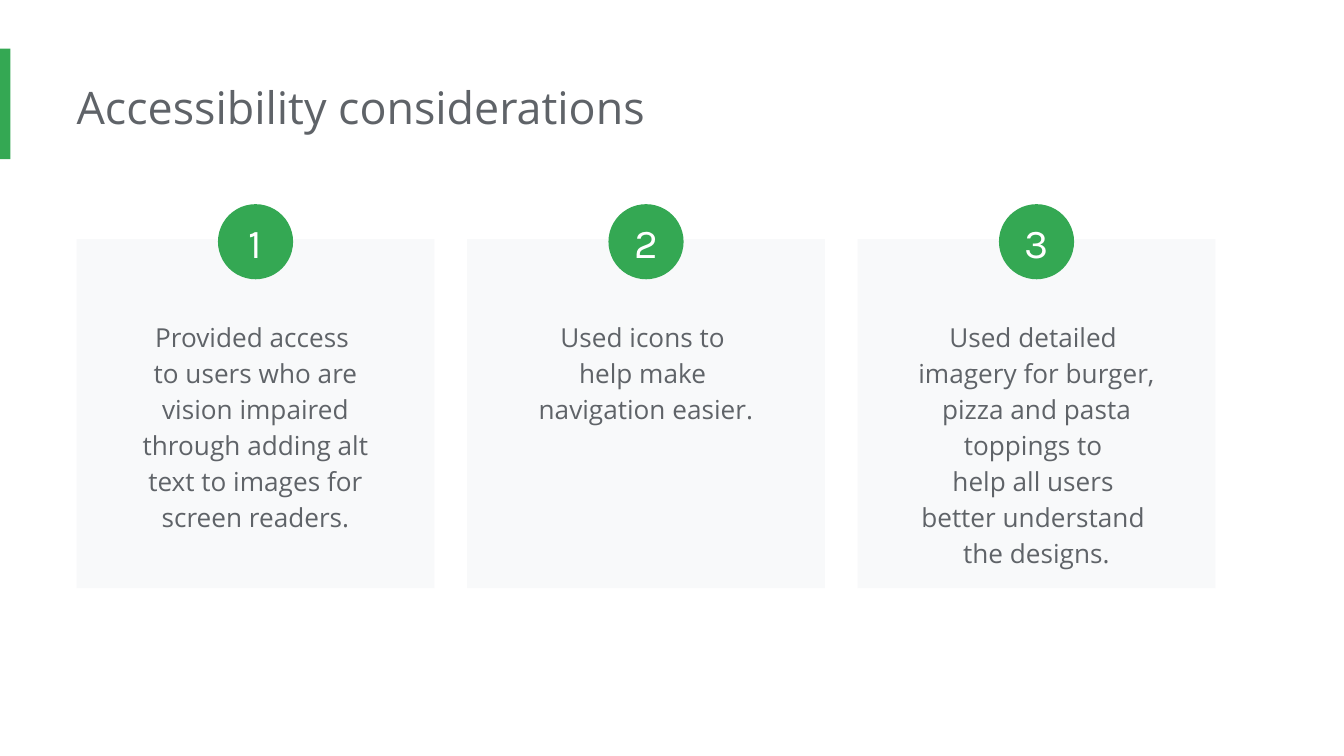
from pptx import Presentation
from pptx.dml.color import RGBColor
from pptx.enum.shapes import MSO_SHAPE
from pptx.enum.text import MSO_ANCHOR, MSO_AUTO_SIZE, PP_ALIGN
from pptx.util import Cm, Pt

RECTANGLE, OVAL = MSO_SHAPE.RECTANGLE, MSO_SHAPE.OVAL
LEFT, CENTER = PP_ALIGN.LEFT, PP_ALIGN.CENTER
MIDDLE = MSO_ANCHOR.MIDDLE
GROW = MSO_AUTO_SIZE.SHAPE_TO_FIT_TEXT

TITLE = "Accessibility considerations"
# Text of each card and the height of its text box in cm
CONSIDERATIONS = [
    ("Provided access \nto users who are vision impaired through adding "
     "alt text to images for screen readers.", 4.55),
    ("Used icons to \nhelp make \nnavigation easier.", 2.49),
    ("Used detailed \nimagery for burger, pizza and pasta toppings to \n"
     "help all users \nbetter understand \nthe designs.", 5.33),
]
COLORS = {"accent": "34A853", "card": "F8F9FA", "text": "5F6368", "white": "FFFFFF"}

MARGIN = 1.45
CARD_TOP, CARD_WIDTH, CARD_HEIGHT, CARD_PITCH = 4.52, 6.76, 6.6, 7.38
TEXT_TOP, TEXT_WIDTH = 5.74, 5.69
BADGE_TOP, BADGE_SIZE = 3.86, 1.42


def add_panel(slide, kind, left, top, width, height, color):
    panel = slide.shapes.add_shape(kind, Cm(left), Cm(top), Cm(width), Cm(height))
    panel.shadow.inherit = False
    panel.fill.solid()
    panel.fill.fore_color.rgb = RGBColor.from_string(COLORS[color])
    panel.line.fill.background()
    return panel


def write(frame, text, font, size, color, align=CENTER):
    """Fill a text frame with one paragraph; newlines become line breaks."""
    frame.word_wrap = True
    para = frame.paragraphs[0]
    para.text = text
    para.alignment = align
    para.font.name = font
    para.font.size = Pt(size)
    para.font.color.rgb = RGBColor.from_string(COLORS[color])
    return para


def add_text_box(slide, left, top, width, height):
    box = slide.shapes.add_textbox(Cm(left), Cm(top), Cm(width), Cm(height))
    frame = box.text_frame
    frame.auto_size = GROW
    frame.margin_left = frame.margin_right = Cm(0.25)
    frame.margin_top = frame.margin_bottom = Cm(0.25)
    return frame


def add_card(slide, index, text, text_height):
    left = MARGIN + index * CARD_PITCH
    add_panel(slide, RECTANGLE, left, CARD_TOP, CARD_WIDTH, CARD_HEIGHT, "card")

    text_left = left + (CARD_WIDTH - TEXT_WIDTH) / 2
    frame = add_text_box(slide, text_left, TEXT_TOP, TEXT_WIDTH, text_height)
    write(frame, text, "Open Sans", 14, "text").line_spacing = 1.15

    badge_left = left + (CARD_WIDTH - BADGE_SIZE) / 2
    badge = add_panel(slide, OVAL, badge_left, BADGE_TOP, BADGE_SIZE, BADGE_SIZE, "accent")
    frame = badge.text_frame
    frame.margin_left = frame.margin_right = frame.margin_top = frame.margin_bottom = 0
    frame.vertical_anchor = MIDDLE
    write(frame, str(index + 1), "Karla", 22, "white")


def main():
    deck = Presentation()
    deck.slide_width, deck.slide_height = Cm(25.4), Cm(14.29)
    slide = deck.slides.add_slide(deck.slide_layouts[6])

    add_panel(slide, RECTANGLE, 0, 0.92, 0.2, 2.09, "accent")
    title = add_text_box(slide, MARGIN, 1.25, 19.45, 1.55)
    title.margin_left = 0
    write(title, TITLE, "Open Sans", 24, "text", LEFT)

    for index, (text, text_height) in enumerate(CONSIDERATIONS):
        add_card(slide, index, text, text_height)
    deck.save("out.pptx")


if __name__ == "__main__":
    main()
